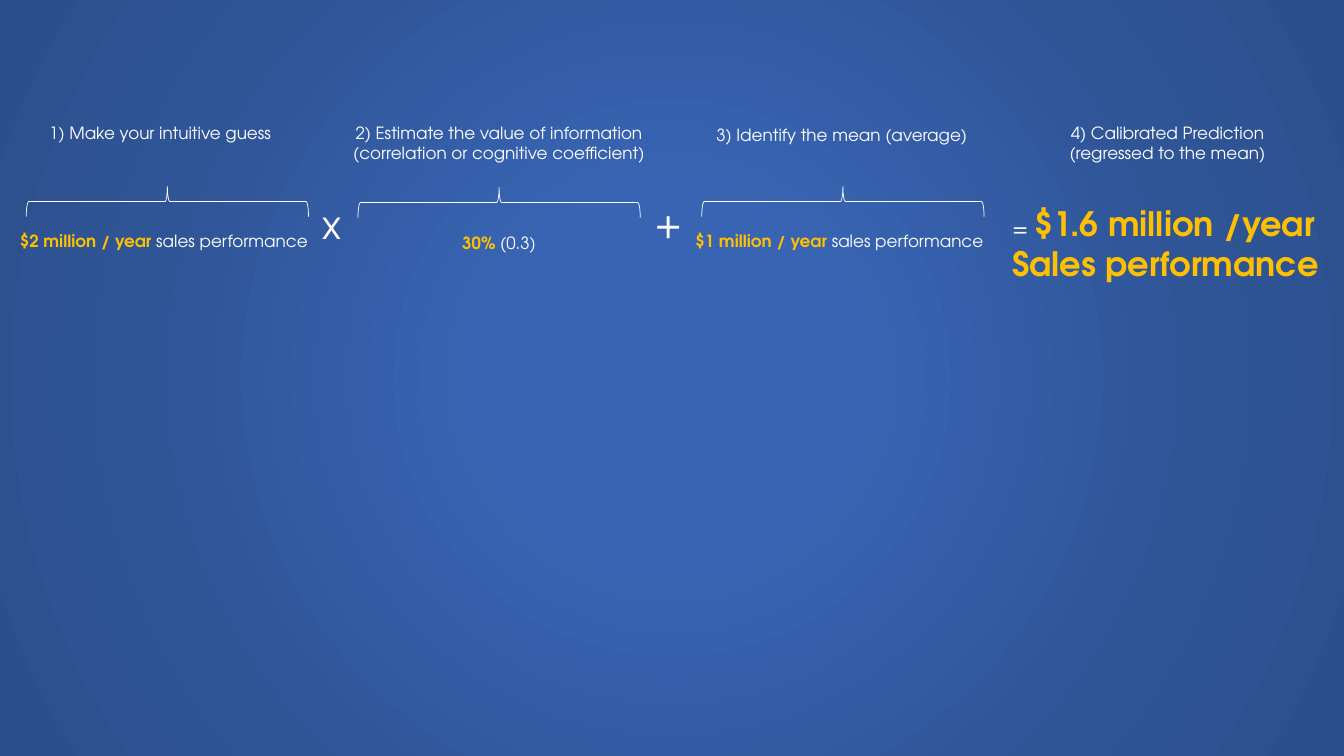
from lxml.etree import SubElement
from pptx import Presentation
from pptx.dml.color import RGBColor
from pptx.enum.shapes import MSO_SHAPE
from pptx.enum.text import MSO_AUTO_SIZE, PP_ALIGN
from pptx.oxml.ns import qn
from pptx.util import Inches, Pt

WIDTH, HEIGHT = 13.33, 7.5
FONT = "TeX Gyre Adventor"
LEFT, CENTER = PP_ALIGN.LEFT, PP_ALIGN.CENTER
BACKGROUND = [(0, "3864B3"), (23, "3864B3"), (69, "2F5597"), (97, "2C4F8C")]

STYLES = {
    "plain": {"size": 12, "bold": False, "color": "FFFFFF"},
    "value": {"size": 12, "bold": True, "color": "FFC000"},
    "equals": {"size": 16, "bold": False, "color": "FFFFFF"},
    "result": {"size": 24, "bold": True, "color": "FFC000"},
    "operator": {"size": 28, "bold": False, "color": "FFFFFF"},
}

HEADINGS = [
    ((0.39, 1.17, 2.53, 0.3), LEFT, ["1) Make your intuitive guess"]),
    ((2.86, 1.17, 4.18, 0.5), CENTER,
     ["2) Estimate the value of information", "(correlation or cognitive coefficient)"]),
    ((6.95, 1.19, 2.8, 0.3), CENTER, ["3) Identify the mean (average)"]),
    ((10.18, 1.17, 2.8, 0.5), CENTER, ["4) Calibrated Prediction", "(regressed to the mean)"]),
]
VALUES = [
    ((0.1, 2.24, 3.64, 0.3), LEFT, "$2 million / year ", "sales performance"),
    ((3.13, 2.26, 3.64, 0.3), CENTER, "30% ", "(0.3)"),
    ((6.8, 2.24, 3.1, 0.3), LEFT, "$1 million / year ", "sales performance"),
]
OPERATORS = [((2.86, 1.94, 0.86, 0.57), "x"), ((6.2, 1.92, 0.86, 0.57), "+")]
RESULT_PLACE = (9.94, 1.96, 3.29, 0.91)
RESULT = [[("= ", "equals"), ("$1.6 million /year", "result")],
          [("Sales performance", "result")]]
BRACE_CENTERS = [(1.66, 2.0), (4.95, 2.01), (8.36, 2.0)]
BRACE_DEPTH, BRACE_SPAN = 0.3, 2.8


def color(value):
    return RGBColor.from_string(value)


def paint_background(page):
    page.background.fill.gradient()
    gradient = page.element.find(".//" + qn("a:gradFill"))
    for child in list(gradient):
        gradient.remove(child)
    stops = SubElement(gradient, qn("a:gsLst"))
    for percent, value in BACKGROUND:
        stop = SubElement(stops, qn("a:gs"), pos=str(percent * 1000))
        SubElement(stop, qn("a:srgbClr"), val=value)
    circle = SubElement(gradient, qn("a:path"), path="circle")
    SubElement(circle, qn("a:fillToRect"), {side: "50000" for side in "ltrb"})


def add_text(page, place, align, lines):
    box = page.shapes.add_textbox(*map(Inches, place))
    frame = box.text_frame
    frame.word_wrap = True
    frame.auto_size = MSO_AUTO_SIZE.SHAPE_TO_FIT_TEXT
    for index, line in enumerate(lines):
        para = frame.add_paragraph() if index else frame.paragraphs[0]
        para.alignment = align
        for text, style in line:
            span = para.add_run()
            span.text = text
            look = STYLES[style]
            settings = {"name": FONT, "size": Pt(look["size"]), "bold": look["bold"]}
            for name, value in settings.items():
                setattr(span.font, name, value)
            span.font.color.rgb = color(look["color"])


def add_brace(page, center_x, center_y):
    place = (center_x - BRACE_DEPTH / 2, center_y - BRACE_SPAN / 2, BRACE_DEPTH, BRACE_SPAN)
    brace = page.shapes.add_shape(MSO_SHAPE.LEFT_BRACE, *map(Inches, place))
    brace.rotation = 90
    brace.shadow.inherit = False
    brace.fill.background()
    brace.line.color.rgb = color("FFFFFF")
    brace.line.width = Pt(0.5)


def main():
    deck = Presentation()
    deck.slide_width, deck.slide_height = Inches(WIDTH), Inches(HEIGHT)
    page = deck.slides.add_slide(deck.slide_layouts[6])
    paint_background(page)
    for center in BRACE_CENTERS:
        add_brace(page, *center)
    for place, align, lines in HEADINGS:
        add_text(page, place, align, [[(line, "plain")] for line in lines])
    for place, align, amount, note in VALUES:
        add_text(page, place, align, [[(amount, "value"), (note, "plain")]])
    for place, sign in OPERATORS:
        add_text(page, place, CENTER, [[(sign, "operator")]])
    add_text(page, RESULT_PLACE, LEFT, RESULT)
    deck.save("out.pptx")


if __name__ == "__main__":
    main()
